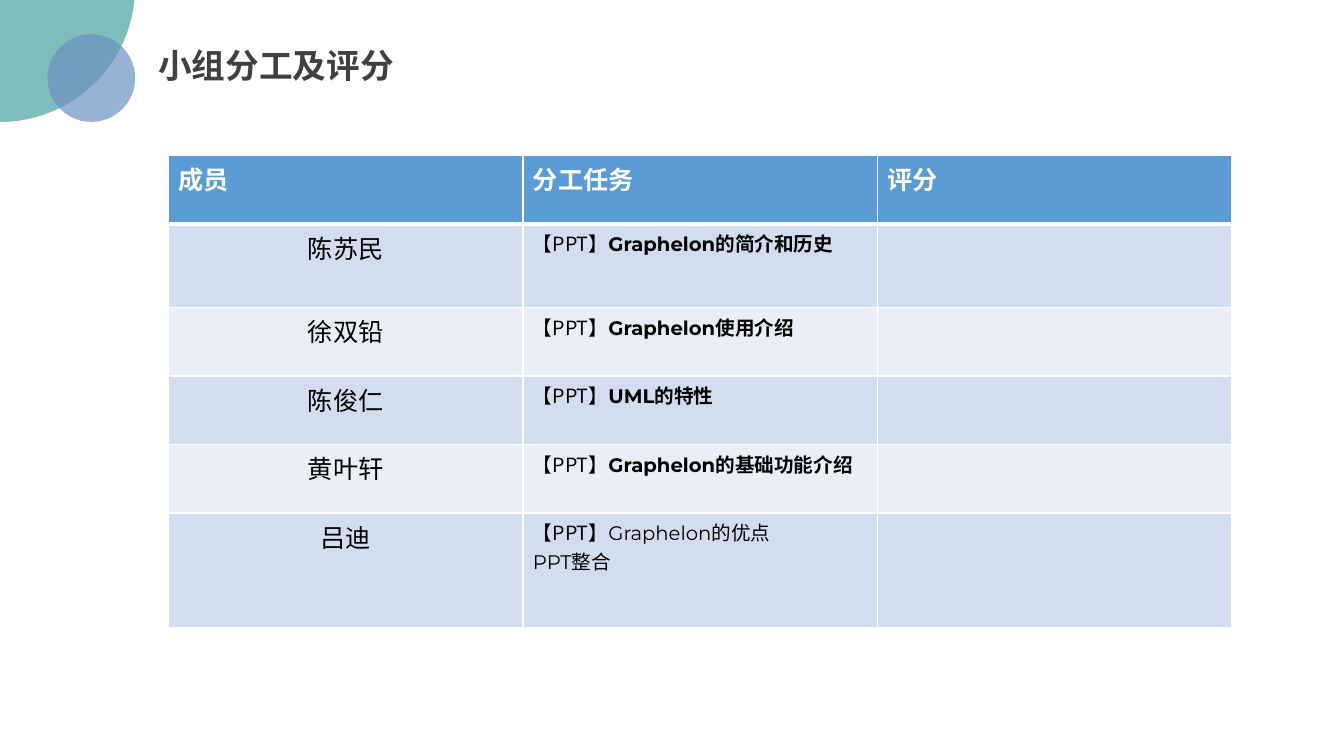
from dataclasses import dataclass

from lxml import etree
from pptx import Presentation
from pptx.dml.color import RGBColor
from pptx.enum.shapes import MSO_SHAPE
from pptx.enum.text import MSO_ANCHOR, MSO_AUTO_SIZE, PP_ALIGN
from pptx.oxml.ns import qn
from pptx.util import Inches, Pt

OVAL = MSO_SHAPE.OVAL
LEFT, CENTER = PP_ALIGN.LEFT, PP_ALIGN.CENTER
MIDDLE = MSO_ANCHOR.MIDDLE
FIT = MSO_AUTO_SIZE.SHAPE_TO_FIT_TEXT
WIDE, HIGH = Inches(13.33), Inches(7.5)
HAN, LATIN = "Noto Sans CJK SC", "Montserrat"
WHITE, BLACK, BLUE = "FFFFFF", "000000", "5B9BD5"
BANDS = ("D2DEEF", "EAEFF7")


@dataclass
class Box:
    """Left, top, width and height in percent of the slide."""
    x: float
    y: float
    w: float
    h: float


@dataclass
class Disc:
    box: Box
    color: str


@dataclass
class Member:
    name: str
    task: str
    row: float
    bold: bool = True
    more: str = ""


DISCS = [
    Disc(Box(-10.05, -19.6, 20.1, 35.73), "48A2A0"),
    Disc(Box(3.53, 4.53, 6.53, 11.6), "6C92C0"),
]
TITLE = Box(11.03, 5.33, 19.2, 6.67)
GRID = Box(12.53, 20.53, 79.14, 62.55)
HEADS = ("成员", "分工任务", "评分")
HEAD_ROW = 9.07
MEMBERS = [
    Member("陈苏民", "Graphelon的简介和历史", 11.07),
    Member("徐双铅", "Graphelon使用介绍", 9.07),
    Member("陈俊仁", "UML的特性", 9.07),
    Member("黄叶轩", "Graphelon的基础功能介绍", 9.07),
    Member("吕迪", "Graphelon的优点", 15.2, bold=False, more="PPT整合"),
]


def across(share: float) -> int:
    return round(WIDE * share / 100)


def down(share: float) -> int:
    return round(HIGH * share / 100)


def place(box: Box) -> tuple:
    return across(box.x), down(box.y), across(box.w), down(box.h)


def rgb(code: str) -> RGBColor:
    return RGBColor.from_string(code)


def write(para, text: str, *, size: float = 18, color: str = BLACK,
          bold: bool = False, face: str = HAN, align=LEFT) -> None:
    para.alignment = align
    run = para.add_run()
    run.text = text
    font = run.font
    font.size, font.bold, font.name = Pt(size), bold, face
    font.color.rgb = rgb(color)
    etree.SubElement(run._r.get_or_add_rPr(), qn("a:ea"), typeface=HAN)


def draw_disc(slide, disc: Disc) -> None:
    shape = slide.shapes.add_shape(OVAL, *place(disc.box))
    shape.shadow.inherit = False
    shape.line.fill.background()
    shape.fill.solid()
    shape.fill.fore_color.rgb = rgb(disc.color)
    tone = shape.fill._xPr.find(".//" + qn("a:srgbClr"))
    etree.SubElement(tone, qn("a:alpha"), val="70000")


def draw_title(slide) -> None:
    title = slide.shapes.title
    title.left, title.top, title.width, title.height = place(TITLE)
    frame = title.text_frame
    frame.word_wrap, frame.auto_size = False, FIT
    frame.vertical_anchor = MIDDLE
    write(frame.paragraphs[0], "小组分工及评分", size=24, color="404040", bold=True)


def paint(cell, color: str, top: float = 1, base: float = 1) -> None:
    props = cell._tc.get_or_add_tcPr()
    for side, width in (("L", 1), ("R", 1), ("T", top), ("B", base)):
        line = etree.SubElement(props, qn("a:ln" + side), w=str(Pt(width)))
        fill = etree.SubElement(line, qn("a:solidFill"))
        etree.SubElement(fill, qn("a:srgbClr"), val=WHITE)
    cell.fill.solid()
    cell.fill.fore_color.rgb = rgb(color)


def draw_table(slide) -> None:
    table = slide.shapes.add_table(
        len(MEMBERS) + 1, len(HEADS), *place(GRID)).table
    for col in table.columns:
        col.width = across(GRID.w / len(HEADS))

    # Header row
    table.rows[0].height = down(HEAD_ROW)
    for col, head in enumerate(HEADS):
        cell = table.cell(0, col)
        paint(cell, BLUE, base=3)
        write(cell.text_frame.paragraphs[0], head, color=WHITE, bold=True)

    # One row per member, the score left open
    for row, member in enumerate(MEMBERS, 1):
        table.rows[row].height = down(member.row)
        for col in range(len(HEADS)):
            paint(table.cell(row, col), BANDS[(row - 1) % 2],
                  top=3 if row == 1 else 1)
        name = table.cell(row, 0).text_frame
        write(name.paragraphs[0], member.name, align=CENTER)
        task = table.cell(row, 1).text_frame
        write(task.paragraphs[0], "【PPT】", size=14)
        write(task.paragraphs[0], member.task, size=14, face=LATIN,
              bold=member.bold)
        if member.more:
            write(task.add_paragraph(), member.more, size=14, face=LATIN)


def main() -> None:
    deck = Presentation()
    deck.slide_width, deck.slide_height = WIDE, HIGH
    slide = deck.slides.add_slide(deck.slide_layouts.get_by_name("Title Only"))
    for disc in DISCS:
        draw_disc(slide, disc)
    draw_title(slide)
    draw_table(slide)
    deck.save("out.pptx")


if __name__ == "__main__":
    main()
